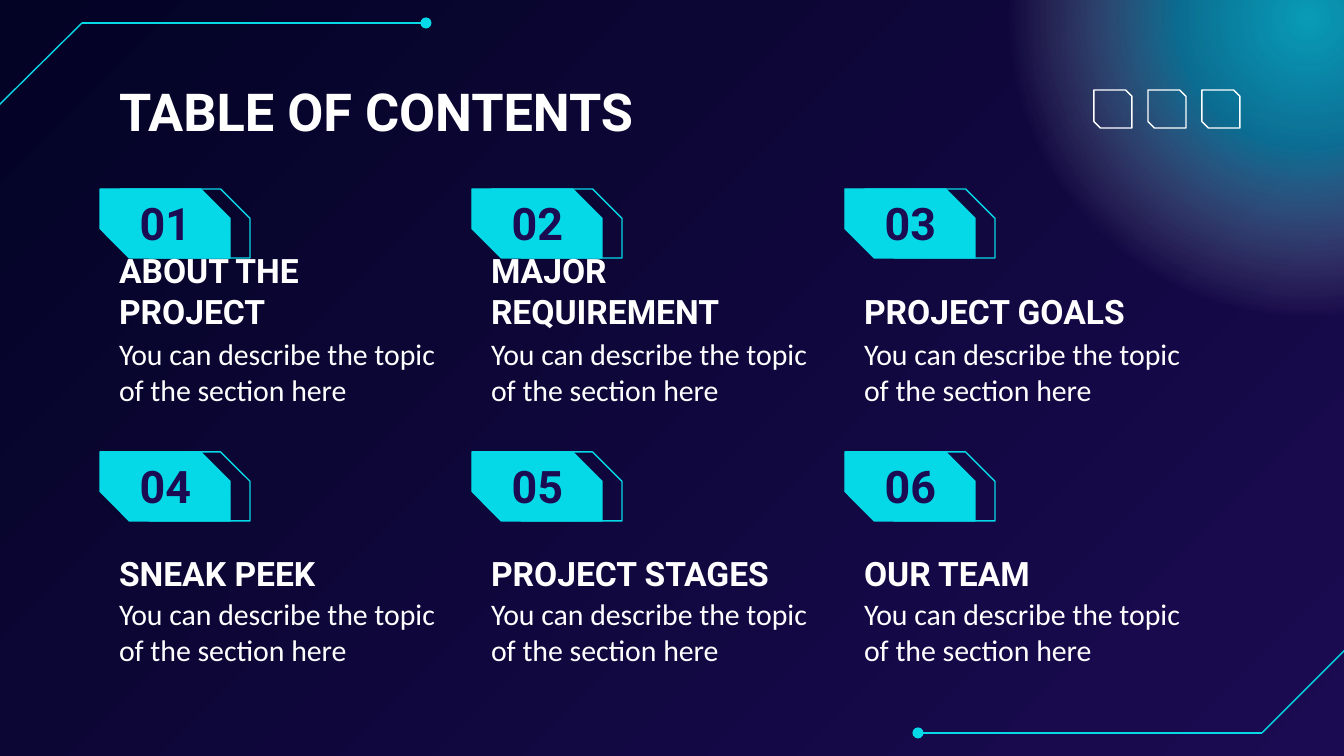
from lxml.etree import SubElement
from pptx import Presentation
from pptx.dml.color import RGBColor
from pptx.enum.shapes import MSO_CONNECTOR, MSO_SHAPE
from pptx.enum.text import MSO_ANCHOR, MSO_AUTO_SIZE, PP_ALIGN
from pptx.oxml import parse_xml
from pptx.oxml.ns import nsdecls, qn
from pptx.util import Emu, Pt

NIGHT = RGBColor(0x03, 0x03, 0x25)
INDIGO = RGBColor(0x1B, 0x0B, 0x52)
CYAN = RGBColor(0x05, 0xD8, 0xE7)
WHITE = RGBColor(0xFF, 0xFF, 0xFF)

SCALE = 9144000 / 1344  # EMU in one px


def px(*lengths):
    return [Emu(round(length * SCALE)) for length in lengths]


def write(box, text, size, color, font="Roboto", bold=True, align=PP_ALIGN.LEFT,
          anchor=MSO_ANCHOR.TOP, space_after=0):
    frame = box.text_frame
    inset = px(13)[0]
    frame_format = {"word_wrap": True, "auto_size": MSO_AUTO_SIZE.NONE,
                    "vertical_anchor": anchor, "margin_left": inset, "margin_right": inset,
                    "margin_top": inset, "margin_bottom": inset}
    for name, value in frame_format.items():
        setattr(frame, name, value)
    para = frame.paragraphs[0]
    para.alignment = align
    para.space_after = Pt(space_after)
    span = para.add_run()
    span.text = text
    for name, value in {"name": font, "size": Pt(size), "bold": bold}.items():
        setattr(span.font, name, value)
    span.font.color.rgb = color


deck = Presentation()
deck.slide_width, deck.slide_height = px(1344, 756)
page = deck.slides.add_slide(deck.slide_layouts[5])
shapes = page.shapes

# Background running from top left to bottom right
backdrop = page.background.fill
backdrop.gradient()
backdrop.gradient_angle = 315
for stop, color in zip(backdrop.gradient_stops, (NIGHT, INDIGO)):
    stop.color.rgb = color

# Glow in the top right corner: position, colour and opacity in percent
glow = shapes.add_shape(MSO_SHAPE.OVAL, *px(1001, -289, 613, 613))
glow.shadow.inherit = False
glow.line.fill.background()
glow.fill.background()
stops = "".join(
    f'<a:gs pos="{position * 1000}"><a:srgbClr val="{color}">'
    f'<a:alpha val="{opacity * 1000}"/></a:srgbClr></a:gs>'
    for position, color, opacity in
    ((0, CYAN, 71), (30, CYAN, 48), (69, WHITE, 0), (100, WHITE, 0)))
no_fill = glow.element.spPr.find(qn("a:noFill"))
no_fill.getparent().replace(no_fill, parse_xml(
    f'<a:gradFill {nsdecls("a")} rotWithShape="1"><a:gsLst>{stops}</a:gsLst>'
    '<a:path path="circle"><a:fillToRect l="50000" t="50000" r="50000" b="50000"/>'
    '</a:path></a:gradFill>'))

# Circuit traces in two corners, each ending in a dot
for trace in (((-3, 107), (82, 23), (426, 23)),
              ((1347, 648), (1262, 733), (918, 733))):
    for start, end in zip(trace, trace[1:]):
        line = shapes.add_connector(MSO_CONNECTOR.STRAIGHT, *px(*start, *end))
        line.line.color.rgb = CYAN
        line.line.width = Pt(0.75)
        if end == trace[-1]:
            SubElement(line.line._get_or_add_ln(), qn("a:tailEnd"), type="oval")
        SubElement(line.element.spPr, qn("a:effectLst"))

# Snipped frames: left, top, width, height, snip, line colour, fill colour
COLUMNS = [column * 745 // 2 for column in range(3)]
ROWS = ((189, 277, 323), (452, 539, 583))  # tops of badge, heading and body
frames = []
for badge_top, _, _ in ROWS:
    for column in COLUMNS:
        frames.append((120 + column, badge_top, 130, 69, 0.426, CYAN, None))
        frames.append((100 + column, badge_top, 130, 69, 0.426, CYAN, CYAN))
frames += [(1094 + 54 * n, 90, 38, 38, 0.167, WHITE, None) for n in range(3)]
for *place, snip, line_color, fill_color in frames:
    frame = shapes.add_shape(MSO_SHAPE.SNIP_2_DIAG_RECTANGLE, *px(*place))
    frame.shadow.inherit = False
    frame.adjustments[0], frame.adjustments[1] = 0, snip
    frame.line.color.rgb = line_color
    frame.line.width = Pt(0.75)
    if fill_color:
        frame.fill.solid()
        frame.fill.fore_color.rgb = fill_color
    else:
        frame.fill.background()

# Title
title = shapes.title
title.left, title.top, title.width, title.height = px(106, 66, 1055, 85)
write(title, "TABLE OF CONTENTS", 28, WHITE)

# Sections: number, heading and description
HEADINGS = ("ABOUT THE PROJECT", "MAJOR REQUIREMENT", "PROJECT GOALS",
            "SNEAK PEEK", "PROJECT STAGES", "OUR TEAM")
for index, heading in enumerate(HEADINGS):
    badge_top, heading_top, body_top = ROWS[index // 3]
    column = COLUMNS[index % 3]
    number_box = shapes.add_textbox(*px(120 + column, badge_top - 7, 91, 82))
    write(number_box, f"{index + 1:02}", 24, INDIGO, align=PP_ALIGN.CENTER,
          anchor=MSO_ANCHOR.MIDDLE)
    heading_box = shapes.add_textbox(*px(106 + column, heading_top, 351, 67))
    write(heading_box, heading, 18, WHITE, anchor=MSO_ANCHOR.BOTTOM, space_after=12)
    body_box = shapes.add_textbox(*px(106 + column, body_top, 351, 99))
    write(body_box, "You can describe the topic of the section here", 16, WHITE,
          font="Calibri", bold=False, space_after=12)

deck.save("out.pptx")
